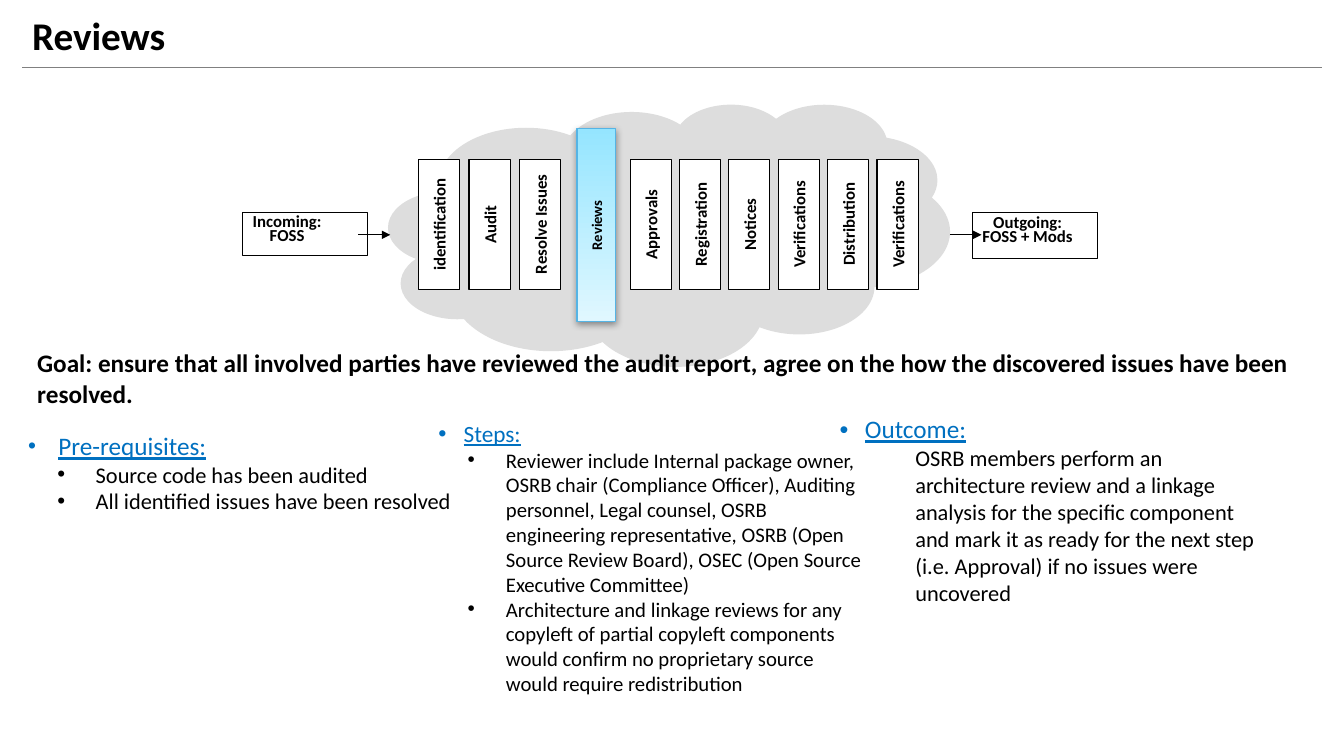
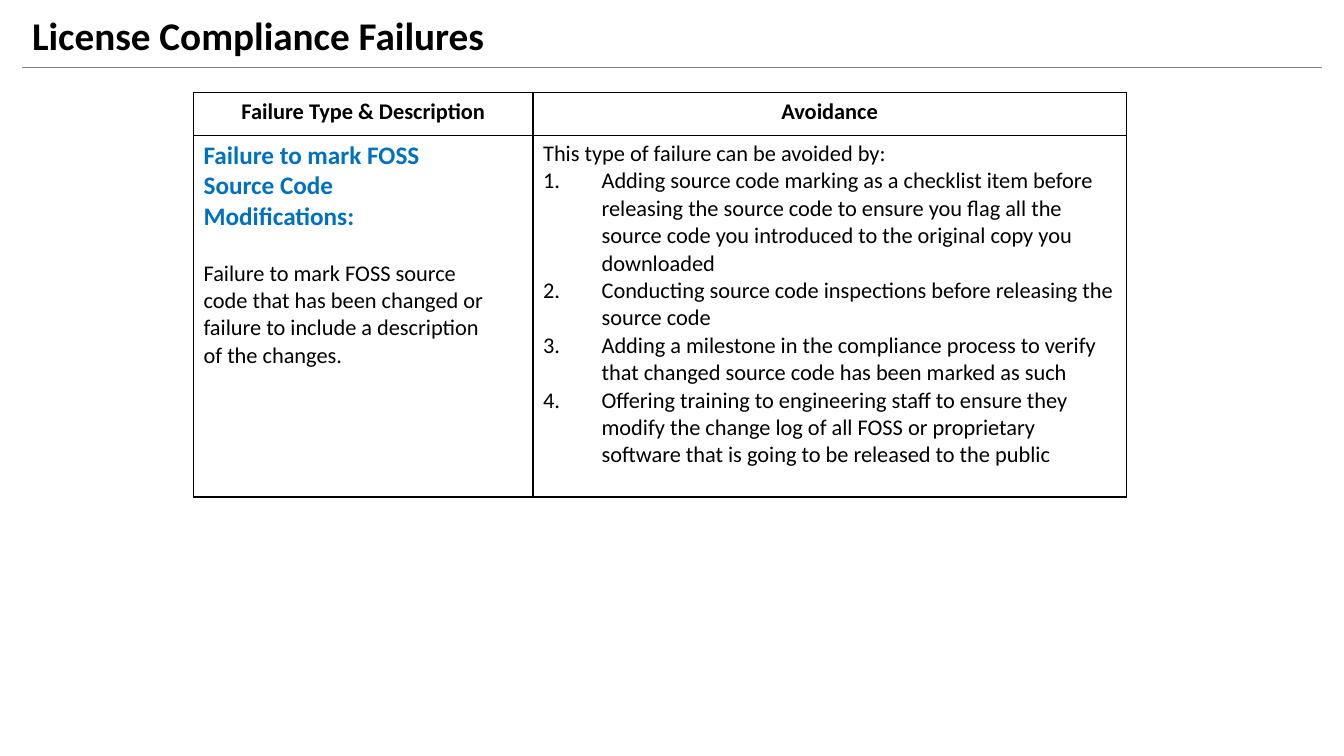
from dataclasses import dataclass

from lxml.etree import SubElement
from pptx import Presentation
from pptx.dml.color import RGBColor
from pptx.enum.shapes import MSO_CONNECTOR, MSO_SHAPE
from pptx.enum.text import MSO_ANCHOR, PP_ALIGN
from pptx.oxml.ns import qn
from pptx.util import Emu, Inches, Pt

COLORS = {
    "text": "000000",
    "accent": "0070C0",
    "rule": "808080",
    "cloud": "DDDDDD",
    "paper": "FFFFFF",
    "highlight_top": "95E5FF",
    "highlight_bottom": "E0F7FF",
    "highlight_line": "55B4E5",
}
FONT = "Calibri"


@dataclass
class Box:
    left: float
    top: float
    width: float
    height: float

    def area(self, left, top, width, height):
        return Box(
            self.left + self.width * left / 100,
            self.top + self.height * top / 100,
            self.width * width / 100,
            self.height * height / 100,
        )

    def lengths(self):
        return [Emu(round(v)) for v in (self.left, self.top, self.width, self.height)]


@dataclass
class Line:
    text: str
    size: float = 16
    color: str = "text"
    bold: bool = False
    underline: bool = False
    align: PP_ALIGN = PP_ALIGN.LEFT
    spacing: float = 1.0
    before: float = 0
    margin: float = 0
    hanging: float = 0
    bullet: str = ""
    bullet_size: int = 100


def rgb(name):
    return RGBColor.from_string(COLORS[name])


def add_bullet(properties, line):
    SubElement(properties, qn("a:buSzPct"), val=str(line.bullet_size * 1000))
    if line.bullet == "number":
        SubElement(properties, qn("a:buAutoNum"), type="arabicPeriod")
    else:
        SubElement(properties, qn("a:buFont"), typeface="Arial")
        SubElement(properties, qn("a:buChar"), char=line.bullet)


def write_lines(frame, lines):
    for index, line in enumerate(lines):
        paragraph = frame.add_paragraph() if index else frame.paragraphs[0]
        properties = paragraph._p.get_or_add_pPr()
        properties.set("marL", str(Inches(line.margin)))
        properties.set("indent", str(-Inches(line.hanging)))
        if line.bullet:
            add_bullet(properties, line)
        paragraph.text = line.text
        paragraph.alignment = line.align
        paragraph.line_spacing = line.spacing
        paragraph.space_before = Pt(line.before)
        for run in paragraph.runs:
            run.font.name = FONT
            run.font.size = Pt(line.size)
            run.font.bold = line.bold
            run.font.underline = line.underline
            run.font.color.rgb = rgb(line.color)


def set_insets(frame, left, top, right, bottom):
    frame.margin_left, frame.margin_top = Inches(left), Inches(top)
    frame.margin_right, frame.margin_bottom = Inches(right), Inches(bottom)


def add_text(slide, box, lines, anchor=MSO_ANCHOR.TOP):
    frame = slide.shapes.add_textbox(*box.lengths()).text_frame
    frame.word_wrap = True
    frame.vertical_anchor = anchor
    write_lines(frame, lines)
    return frame


def add_block(slide, kind, box, fill="paper", line="text"):
    shape = slide.shapes.add_shape(kind, *box.lengths())
    shape.shadow.inherit = False
    shape.fill.solid()
    shape.fill.fore_color.rgb = rgb(fill)
    if line:
        shape.line.color.rgb = rgb(line)
        shape.line.width = Pt(0.75)
    else:
        shape.line.fill.background()
    return shape


def add_line(slide, box, color, width, arrow=False):
    left, top, length, height = box.lengths()
    connector = slide.shapes.add_connector(
        MSO_CONNECTOR.STRAIGHT, left, top, left + length, top + height
    )
    connector.line.color.rgb = rgb(color)
    connector.line.width = Pt(width)
    if arrow:
        SubElement(connector.line._get_or_add_ln(), qn("a:tailEnd"), type="triangle")
    SubElement(connector._element.spPr, qn("a:effectLst"))


def add_titled_slide(presentation, title):
    slide = presentation.slides.add_slide(presentation.slide_layouts[6])
    page = Box(0, 0, presentation.slide_width, presentation.slide_height)
    add_line(slide, page.area(1.65, 8.93, 96.7, 0), "rule", 1)
    heading = Line(title, size=28, bold=True, spacing=0.9)
    add_text(slide, page.area(1.65, 1.07, 95.7, 7.87), [heading], MSO_ANCHOR.MIDDLE)
    return slide, page


def add_endpoint(slide, box, words, right_inset, spacing):
    shape = add_block(slide, MSO_SHAPE.RECTANGLE, box)
    frame = shape.text_frame
    frame.vertical_anchor = MSO_ANCHOR.TOP
    set_insets(frame, 0, 0.05, right_inset, 0)
    write_lines(frame, [
        Line(word, size=12, bold=True, align=PP_ALIGN.CENTER, spacing=spacing)
        for word in words
    ])


def add_stage(slide, box, name, size=12):
    shape = add_block(slide, MSO_SHAPE.RECTANGLE, box)
    frame = shape.text_frame
    frame.vertical_anchor = MSO_ANCHOR.MIDDLE
    frame._txBody.bodyPr.set("vert", "vert270")
    set_insets(frame, 0.05, 0.05, 0.05, 0.05)
    write_lines(frame, [Line(name, size=size, bold=True, align=PP_ALIGN.CENTER)])
    return shape


def highlight_stage(shape):
    shape.fill.gradient()
    shape.fill.gradient_angle = 270
    for stop, name in zip(shape.fill.gradient_stops, ("highlight_top", "highlight_bottom")):
        stop.color.rgb = rgb(name)
    shape.fill.gradient_stops[0].position = 0
    shape.fill.gradient_stops[1].position = 1
    shape.line.color.rgb = rgb("highlight_line")
    effects = shape._element.spPr.find(qn("a:effectLst"))
    shadow = SubElement(
        effects, qn("a:outerShdw"),
        blurRad=str(Pt(5)), dist=str(Pt(1.6)), dir="5400000", rotWithShape="0",
    )
    color = SubElement(shadow, qn("a:srgbClr"), val=COLORS["text"])
    SubElement(color, qn("a:alpha"), val="38000")


def add_process(slide, box):
    add_block(slide, MSO_SHAPE.CLOUD, box.area(17.1, 0, 65.5, 100), "cloud", None)
    add_endpoint(slide, box.area(0.1, 41.5, 14.6, 16.5), ["Incoming:", "FOSS"], 0.36, 0.65)
    add_endpoint(slide, box.area(85.2, 41.5, 14.6, 17.5), ["Outgoing:", "FOSS + Mods"], 0.14, 0.7)
    for start in (13.6, 82.6):
        add_line(slide, box.area(start, 50, 3.7, 0), "text", 0.75, arrow=True)
    current = add_stage(slide, box.area(39.1, 9.6, 4.5, 73.5), "Reviews", 10.5)
    highlight_stage(current)
    groups = [
        (20.6, 5.9, ["identification", "Audit", "Resolve Issues"]),
        (45.3, 5.76, ["Approvals", "Registration", "Notices", "Verifications",
                      "Distribution", "Verifications"]),
    ]
    for start, step, names in groups:
        for index, name in enumerate(names):
            add_stage(slide, box.area(start + index * step, 21.2, 4.8, 49.6), name)


def add_topic(slide, box, heading, items, size=16, bullet="•", margin=0.67, hanging=0.38):
    lines = [heading] + [
        Line(item, size=size, margin=margin, hanging=hanging, bullet=bullet)
        for item in items
    ]
    return add_text(slide, box, lines)


def topic_heading(text, size=18, margin=0.25, spacing=0.9, bullet_size=100):
    return Line(text, size=size, color="accent", underline=True, spacing=spacing,
                margin=margin, hanging=margin, bullet="•", bullet_size=bullet_size)


def build_reviews(presentation):
    slide, page = add_titled_slide(presentation, "Reviews")
    add_process(slide, page.area(18, 13.73, 63.77, 34.67))
    prerequisites = add_topic(
        slide, page.area(0, 52.27, 36.6, 43.5),
        topic_heading("Pre-requisites:", margin=0.3, spacing=1.5, bullet_size=90),
        ["Source code has been audited", "All identified issues have been resolved"],
    )
    set_insets(prerequisites, 0.28, 0.2, 0.1, 0.24)
    add_topic(
        slide, page.area(61.74, 54.53, 33.16, 33.6), topic_heading("Outcome:"),
        ["OSRB members perform an architecture review and a linkage analysis for the "
         "specific component and mark it as ready for the next step (i.e. Approval) "
         "if no issues were uncovered"],
        bullet="", margin=0.75, hanging=0,
    )
    add_topic(
        slide, page.area(31.88, 55.2, 33.16, 40.4), topic_heading("Steps:", size=16.6),
        ["Reviewer include Internal package owner, OSRB chair (Compliance Officer), "
         "Auditing personnel, Legal counsel, OSRB engineering representative, OSRB "
         "(Open Source Review Board), OSEC (Open Source Executive Committee)",
         "Architecture and linkage reviews for any copyleft of partial copyleft "
         "components would confirm no proprietary source would require redistribution"],
        size=14.8,
    )
    goal = ("Goal: ensure that all involved parties have reviewed the audit report, "
            "agree on the how the discovered issues have been resolved.")
    add_text(slide, page.area(2.03, 45.33, 97.97, 9.47), [Line(goal, size=18, bold=True)])


def add_borders(cell):
    properties = cell._tc.get_or_add_tcPr()
    for side in ("lnL", "lnR", "lnT", "lnB"):
        border = SubElement(properties, qn(f"a:{side}"), w=str(Pt(1)))
        fill = SubElement(border, qn("a:solidFill"))
        SubElement(fill, qn("a:srgbClr"), val=COLORS["text"])


def add_failure_table(slide, box, rows):
    table = slide.shapes.add_table(2, 2, *box.lengths()).table
    table.first_row = table.horz_banding = False
    for column, share in zip(table.columns, (0.364, 0.636)):
        column.width = Emu(round(box.width * share))
    for row, share in zip(table.rows, (0.105, 0.895)):
        row.height = Emu(round(box.height * share))
    for row, contents in zip(table.rows, rows):
        for cell, lines in zip(row.cells, contents):
            add_borders(cell)
            cell.fill.solid()
            cell.fill.fore_color.rgb = rgb("paper")
            write_lines(cell.text_frame, lines)


def build_failures(presentation):
    slide, page = add_titled_slide(presentation, "License Compliance Failures")
    headers = [
        [Line(text, bold=True, align=PP_ALIGN.CENTER)]
        for text in ("Failure Type & Description", "Avoidance")
    ]
    failure = [
        Line(text, size=18, color="accent", bold=True)
        for text in ("Failure to mark FOSS", "Source Code", "Modifications:")
    ] + [
        Line("Failure to mark FOSS source", before=19.5),
        Line("code that has been changed or"),
        Line("failure to include a description"),
        Line("of the changes."),
    ]
    steps = [
        "Adding source code marking as a checklist item before releasing the source code "
        "to ensure you flag all the source code you introduced to the original copy you "
        "downloaded",
        "Conducting source code inspections before releasing the source code",
        "Adding a milestone in the compliance process to verify that changed source code "
        "has been marked as such",
        "Offering training to engineering staff to ensure they modify the change log of "
        "all FOSS or proprietary software that is going to be released to the public",
    ]
    avoidance = [Line("This type of failure can be avoided by:")] + [
        Line(step, margin=0.58, hanging=0.58, bullet="number") for step in steps
    ]
    add_failure_table(slide, page.area(14.4, 12.27, 69.4, 53.47), [headers, [failure, avoidance]])


def main():
    presentation = Presentation()
    presentation.slide_width, presentation.slide_height = Inches(13.33), Inches(7.5)
    build_reviews(presentation)
    build_failures(presentation)
    presentation.save("out.pptx")


if __name__ == "__main__":
    main()
